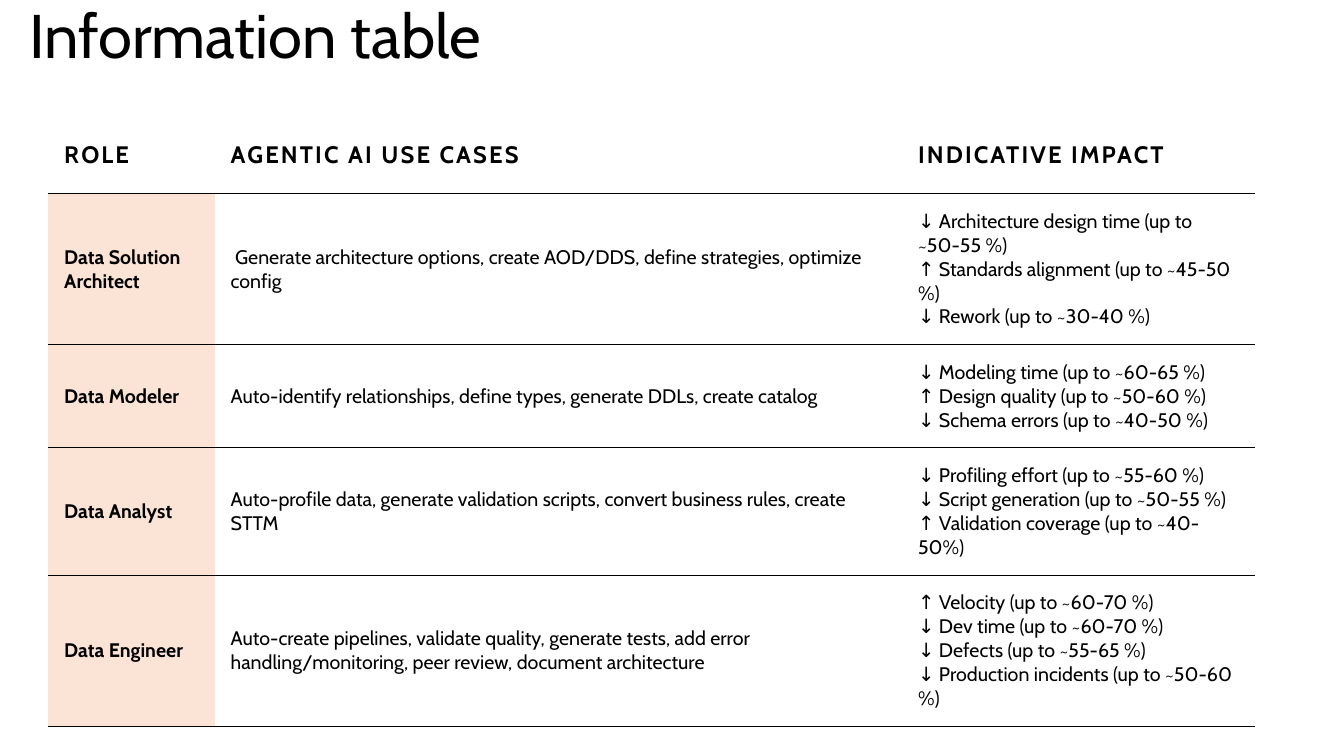
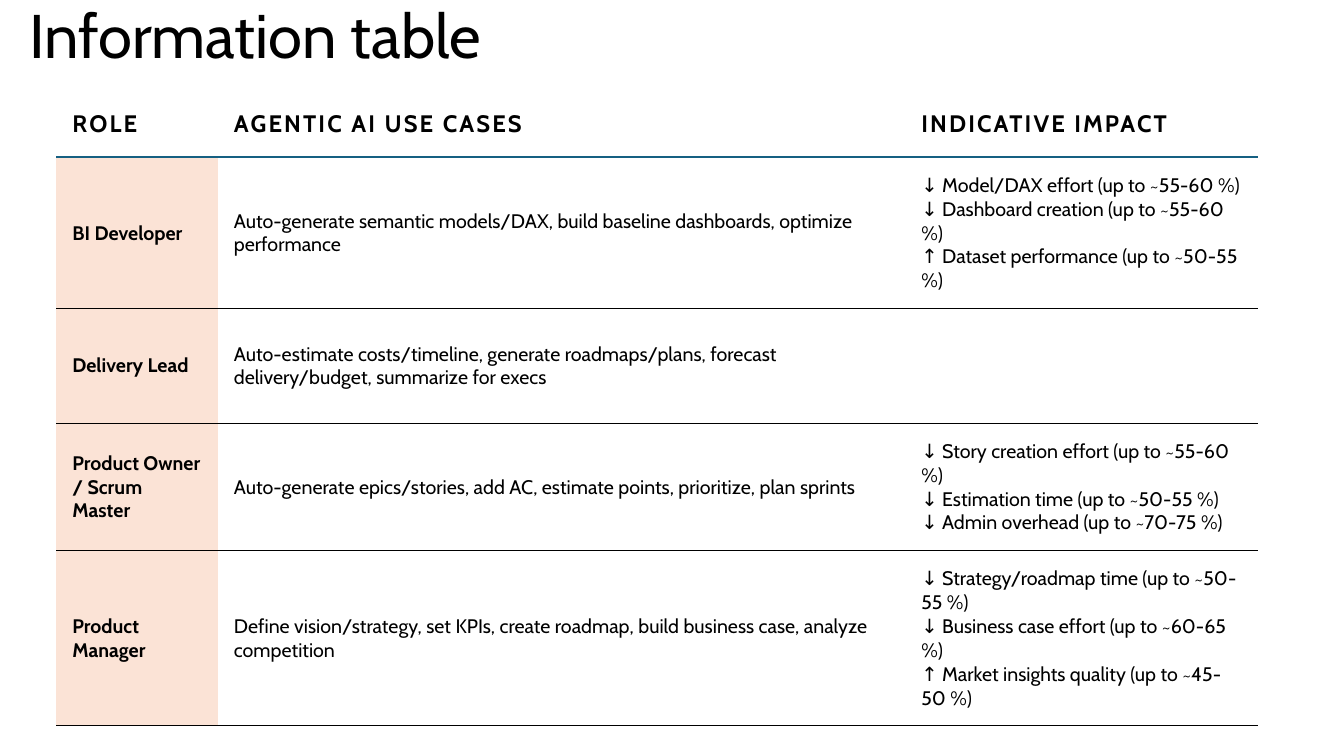
from pptx import Presentation
from pptx import util as u
from pptx.dml.color import RGBColor
from pptx.enum import text
from pptx.oxml import ns
from lxml import etree

FONT = "Cabin"
BLACK, TEAL, PEACH = "000000", "156082", "FBE3D6"
PLAIN_TABLE_STYLE = "{2D5ABB26-0587-4C30-8999-92F81FD0307C}"
CELL_MARGIN = 11.5
THIN_RULE = (BLACK, 0.5)
HEADINGS = ("ROLE", "AGENTIC AI USE CASES", "INDICATIVE IMPACT")

SLIDES = [
    {
        "left": 34.4, "top": 83.5, "role_width": 118.9,
        "heights": (54.7, 108, 73, 91, 108),
        "header_rule": THIN_RULE,
        "rows": [
            ("Data Solution Architect",
             " Generate architecture options, create AOD/DDS, define strategies, optimize config",
             ["↓ Architecture design time (up to ~50-55 %)",
              "↑ Standards alignment (up to ~45-50 %)",
              "↓ Rework (up to ~30-40 %)"]),
            ("Data Modeler",
             "Auto-identify relationships, define types, generate DDLs, create catalog",
             ["↓ Modeling time (up to ~60-65 %)",
              "↑ Design quality (up to ~50-60 %)",
              "↓ Schema errors (up to ~40-50 %)"]),
            ("Data Analyst",
             "Auto-profile data, generate validation scripts, convert business rules, create STTM",
             ["↓ Profiling effort (up to ~55-60 %)",
              "↓ Script generation (up to ~50-55 %)",
              "↑ Validation coverage (up to ~40-50%)"]),
            ("Data Engineer",
             "Auto-create pipelines, validate quality, generate tests, add error "
             "handling/monitoring, peer review, document architecture",
             ["↑ Velocity (up to ~60-70 %)",
              "↓ Dev time (up to ~60-70 %)",
              "↓ Defects (up to ~55-65 %)",
              "↓ Production incidents (up to ~50-60 %)"]),
        ],
    },
    {
        "left": 40.2, "top": 64.2, "role_width": 115.4,
        "heights": (48.2, 108, 82, 91, 125),
        "header_rule": (TEAL, 1.5),
        "rows": [
            ("BI Developer",
             "Auto-generate semantic models/DAX, build baseline dashboards, optimize performance",
             ["↓ Model/DAX effort (up to ~55-60 %)",
              "↓ Dashboard creation (up to ~55-60 %)",
              "↑ Dataset performance (up to ~50-55 %)"]),
            ("Delivery Lead",
             "Auto-estimate costs/timeline, generate roadmaps/plans, forecast "
             "delivery/budget, summarize for execs",
             []),
            ("Product Owner / Scrum Master",
             "Auto-generate epics/stories, add AC, estimate points, prioritize, plan sprints",
             ["↓ Story creation effort (up to ~55-60 %)",
              "↓ Estimation time (up to ~50-55 %)",
              "↓ Admin overhead (up to ~70-75 %)"]),
            ("Product Manager",
             "Define vision/strategy, set KPIs, create roadmap, build business case, "
             "analyze competition",
             ["↓ Strategy/roadmap time (up to ~50-55 %)",
              "↓ Business case effort (up to ~60-65 %)",
              "↑ Market insights quality (up to ~45-50 %)"]),
        ],
    },
]


def color(value):
    return RGBColor.from_string(value)


def write(frame, lines, size, bold=False, spacing=0):
    """Put each line in its own paragraph; spacing is between letters, in points."""
    frame.text = "\n".join(lines)
    for paragraph in frame.paragraphs:
        font = paragraph.font
        font.name, font.size, font.bold = FONT, u.Pt(size), bold
        font.color.rgb = color(BLACK)
        if spacing:
            properties = paragraph._p.pPr.find(ns.qn("a:defRPr"))
            properties.set("spc", str(int(spacing * 100)))


def add_title(slide, title):
    box = slide.shapes.add_textbox(u.Pt(13.7), u.Pt(0), u.Pt(862), u.Pt(89))
    box.text_frame.word_wrap = True
    write(box.text_frame, [title], 44)
    box.text_frame.paragraphs[0].line_spacing = 0.9


def add_rule(cell, edge, rule):
    """Draw a cell border; edge is lnT or lnB."""
    rule_color, width = rule
    line = etree.SubElement(cell._tc.get_or_add_tcPr(), ns.qn(f"a:{edge}"),
                            w=str(u.Pt(width)))
    fill = etree.SubElement(line, ns.qn("a:solidFill"))
    etree.SubElement(fill, ns.qn("a:srgbClr"), val=rule_color)


def format_cell(cell, fill=None, top=None, bottom=THIN_RULE):
    cell.vertical_anchor = text.MSO_ANCHOR.MIDDLE
    cell.margin_left = cell.margin_right = u.Pt(CELL_MARGIN)
    cell.margin_top = cell.margin_bottom = u.Pt(CELL_MARGIN)
    if top:
        add_rule(cell, "lnT", top)
    add_rule(cell, "lnB", bottom)
    if fill:
        cell.fill.solid()
        cell.fill.fore_color.rgb = color(fill)
    else:
        cell.fill.background()


def add_role_table(slide, left, top, role_width, heights, header_rule, rows):
    widths = (role_width, 491, 252)
    frame = slide.shapes.add_table(len(heights), len(widths), u.Pt(left), u.Pt(top),
                                   u.Pt(sum(widths)), u.Pt(sum(heights)))
    table = frame.table
    table.horz_banding = False
    table._tbl.tblPr.find(ns.qn("a:tableStyleId")).text = PLAIN_TABLE_STYLE
    for column, width in zip(table.columns, widths):
        column.width = u.Pt(width)
    for row, height in zip(table.rows, heights):
        row.height = u.Pt(height)

    for column, heading in enumerate(HEADINGS):
        cell = table.cell(0, column)
        format_cell(cell, bottom=header_rule)
        write(cell.text_frame, [heading], 17, bold=True, spacing=1.5)
    for index, (role, use_cases, impacts) in enumerate(rows, start=1):
        rule_above = header_rule if index == 1 else THIN_RULE
        for column, lines in enumerate(([role], [use_cases], impacts)):
            cell = table.cell(index, column)
            is_role = column == 0
            format_cell(cell, fill=PEACH if is_role else None, top=rule_above)
            write(cell.text_frame, lines, 14, bold=is_role)


def main():
    presentation = Presentation()
    presentation.slide_width, presentation.slide_height = u.Pt(960), u.Pt(540)
    for content in SLIDES:
        slide = presentation.slides.add_slide(presentation.slide_layouts[6])
        add_title(slide, "Information table")
        add_role_table(slide, **content)
    presentation.save("out.pptx")


if __name__ == "__main__":
    main()
